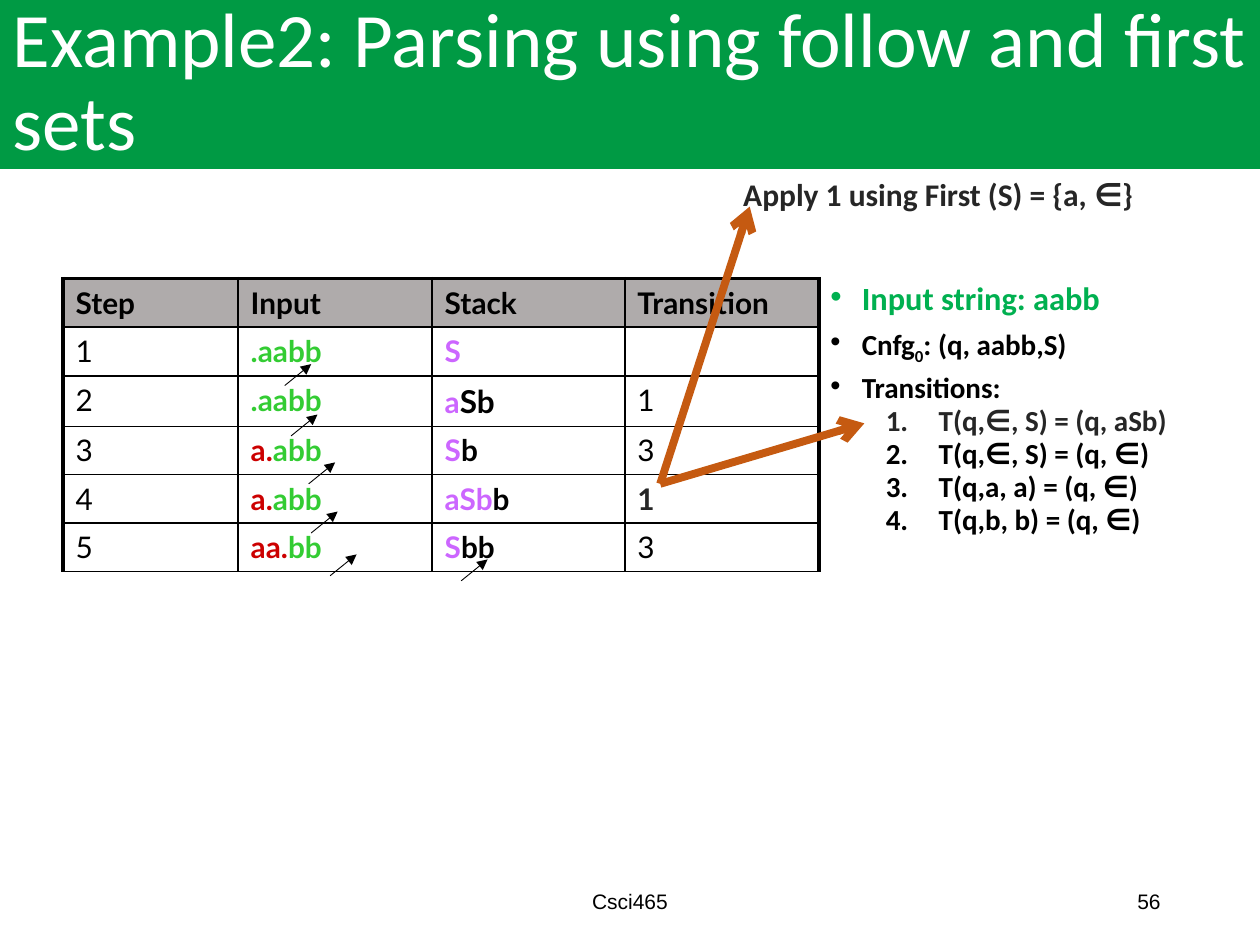
"""Build a slide that traces a pushdown parse of the string aabb."""
from lxml.etree import SubElement
from pptx import Presentation
from pptx.dml.color import RGBColor
from pptx.enum.shapes import MSO_CONNECTOR as CONN
from pptx.enum.text import MSO_ANCHOR as ANCHOR, MSO_AUTO_SIZE as AUTO, PP_ALIGN as ALIGN
from pptx.oxml.ns import qn
from pptx.util import Emu, Inches, Pt

COLORS = {
    "black": "000000", "white": "FFFFFF", "banner": "009A44", "header": "AFABAB",
    "dark": "262626", "input": "00B050", "rest": "33CC33", "read": "CC0000",
    "stack": "CC66FF", "arrow": "C55A11",
}


def rgb(name):
    return RGBColor.from_string(COLORS[name])


def add_run(p, text, color, size, font="Calibri", bold=False):
    r = p.add_run()
    r.text = text
    for key, value in {"size": Pt(size), "name": font, "bold": bold}.items():
        setattr(r.font, key, value)
    r.font.color.rgb = rgb(color)
    return r


prs = Presentation()
prs.slide_width, prs.slide_height = Inches(10), Inches(7.5)
s = prs.slides.add_slide(prs.slide_layouts[1])
title, body = s.placeholders

for sp, box, anchor in [
    (title, (0, 0, 10, 1.34), ANCHOR.MIDDLE),
    (body, (6.49, 2.24, 3.31, 2.19), ANCHOR.TOP),
]:
    sp.left, sp.top, sp.width, sp.height = map(Inches, box)
    tf = sp.text_frame
    for key, value in {"word_wrap": True, "auto_size": AUTO.NONE, "vertical_anchor": anchor}.items():
        setattr(tf, key, value)

title.fill.solid()
title.fill.fore_color.rgb = rgb("banner")
p = title.text_frame.paragraphs[0]
p.alignment, p.line_spacing = ALIGN.LEFT, 0.9
add_run(p, "Example2: Parsing using follow and first sets", "white", 44)

notes = [
    (0, 18.5, "input", ["Input string: aabb"]),
    (0, 16.6, "black", ["Cnfg", "0", ": (q, aabb,S)"]),
    (0, 16.6, "black", ["Transitions:"]),
    (1, 16.6, "dark", ["T(q,∈, S) = (q, aSb)"]),
    (1, 16.6, "black", ["T(q,∈, S) = (q, ∈)"]),
    (1, 16.6, "black", ["T(q,a, a) = (q, ∈)"]),
    (1, 16.6, "black", ["T(q,b, b) = (q, ∈)"]),
]
levels = [
    {"indent": (0.25, -0.25), "before": 10, "bullet": ("a:buChar", {"char": "•"})},
    {"indent": (0.86, -0.42), "before": 5, "bullet": ("a:buAutoNum", {"type": "arabicPeriod"})},
]
tf = body.text_frame
for i, (level, size, color, texts) in enumerate(notes):
    p = tf.add_paragraph() if i else tf.paragraphs[0]
    look = levels[level]
    p.level, p.line_spacing, p.space_before = level, 0.7, Pt(look["before"])
    pPr = p._p.get_or_add_pPr()
    for key, value in zip(("marL", "indent"), look["indent"]):
        pPr.set(key, str(Inches(value)))
    if level == 0:
        SubElement(pPr, qn("a:buFont"), typeface="Arial")
    tag, attrs = look["bullet"]
    SubElement(pPr, qn(tag), attrs)
    for text in texts:
        r = add_run(p, text, color, size, bold=True)
        if text == "0":
            r._r.get_or_add_rPr().set("baseline", "-25000")

steps = [
    ([(".aabb", "rest")], [("S", "stack")], ""),
    ([(".aabb", "rest")], [("a", "stack"), ("Sb", "black")], "1"),
    ([("a.", "read"), ("abb", "rest")], [("S", "stack"), ("b", "black")], "3"),
    ([("a.", "read"), ("abb", "rest")], [("aSb", "stack"), ("b", "black")], "1"),
    ([("aa.", "read"), ("bb", "rest")], [("S", "stack"), ("bb", "black")], "3"),
]
rows = [[[(name, "black")] for name in ("Step", "Input", "Stack", "Transition")]]
for number, (unread, stack, transition) in enumerate(steps, 1):
    mark = "dark" if number == 4 else "black"
    rows.append([[(str(number), "black")], unread, stack, [(transition, mark)] if transition else []])

table = s.shapes.add_table(6, 4, Inches(0.5), Inches(2.21), Inches(6), Inches(2.3)).table
for col, width in zip(table.columns, (1.39, 1.54, 1.53, 1.54)):
    col.width = Inches(width)
for i, (row, cells) in enumerate(zip(table.rows, rows)):
    row.height = Inches(0.4 if i == 2 else 0.38)
    for j, (cell, runs) in enumerate(zip(row.cells, cells)):
        thick = {"L": j == 0, "R": j == 3, "T": i == 0, "B": False}
        tcPr = cell._tc.get_or_add_tcPr()
        for side, outer in thick.items():
            ln = SubElement(tcPr, qn(f"a:ln{side}"), w=str(Pt(2.25 if outer else 1)))
            SubElement(SubElement(ln, qn("a:solidFill")), qn("a:srgbClr"), val=COLORS["black"])
        cell.fill.solid()
        cell.fill.fore_color.rgb = rgb("white" if i else "header")
        p = cell.text_frame.paragraphs[0]
        for text, color in runs:
            bold = i == 0 or j in (1, 2) or color == "dark"
            add_run(p, text, color, 18 if text == "Sb" else 17, "Lato", bold)
        if not runs:
            SubElement(p._p, qn("a:endParaRPr"), sz="1700")

for text, box, align, anchor, look in [
    ("Csci465", (3.31, 6.95, 3.38, 0.4), ALIGN.CENTER, ANCHOR.MIDDLE, ("black", 12, "Arial")),
    ("56", (7.06, 6.95, 2.25, 0.4), ALIGN.RIGHT, ANCHOR.MIDDLE, ("black", 12, "Arial")),
    ("Apply 1 using First (S) = {a, ∈}", (5.8, 1.34, 3.52, 0.4), ALIGN.LEFT, ANCHOR.TOP,
     ("dark", 18, "Calibri", True)),
]:
    tf = s.shapes.add_textbox(*map(Inches, box)).text_frame
    tf.word_wrap, tf.vertical_anchor = True, anchor
    p = tf.paragraphs[0]
    p.alignment = align
    add_run(p, text, *look)

starts = [(2.26, 3.06), (2.31, 3.46), (2.45, 3.84), (2.47, 4.23), (2.62, 4.57), (3.66, 4.61)]
arrows = [(x, y, x + 0.21, y - 0.17, "black", 0.5, "triangle") for x, y in starts]
arrows += [(5.24, 3.84, x, y, "arrow", 4.5, "arrow") for x, y in [(5.95, 1.64), (6.86, 3.36)]]
for *ends, color, width, head in arrows:
    line = s.shapes.add_connector(CONN.STRAIGHT, *map(Inches, ends))
    line.line.color.rgb = rgb(color)
    line.line.width = Emu(Pt(width))
    SubElement(line.line._get_or_add_ln(), qn("a:tailEnd"), type=head)
    SubElement(line._element.spPr, qn("a:effectLst"))

prs.save("out.pptx")
